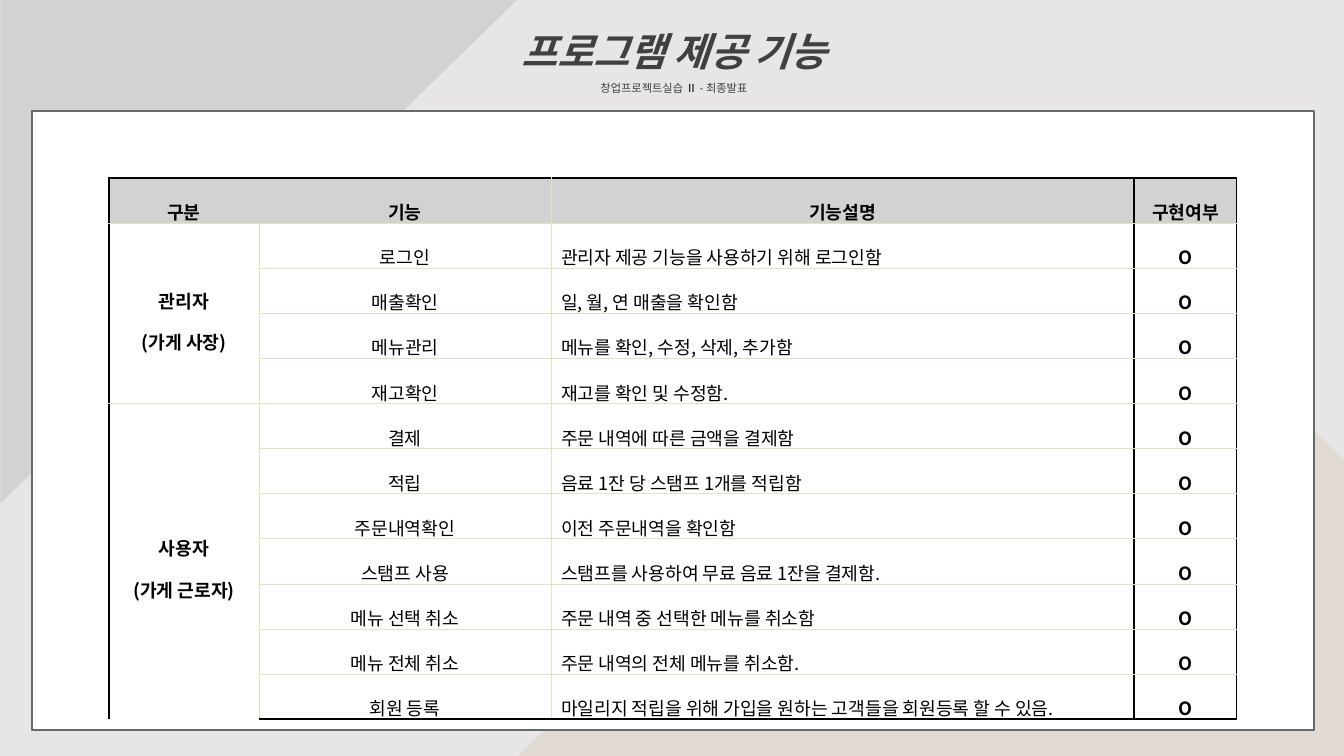
from lxml.etree import SubElement
from pptx import Presentation
from pptx.dml.color import RGBColor
from pptx.enum.shapes import MSO_SHAPE as SHAPE
from pptx.enum.text import MSO_ANCHOR as ANCHOR, MSO_AUTO_SIZE as AUTO, PP_ALIGN as ALIGN
from pptx.oxml.ns import qn
from pptx.util import Pt

SCALE = 12192000 / 1344
FONT = "Noto Sans CJK KR"
NO_STYLE = "{2D5ABB26-0587-4C30-8999-92F81FD0307C}"
COLORS = {"bg": "E7E5E6", "beige": "E1DAD4", "gray": "D2D2D2", "white": "FFFFFF",
          "frame": "64696D", "title": "404040", "black": "000000", "grid": "D8E8C6"}
COLUMNS = [150, 292, 583, 103]
HEADERS = ["구분", "기능", "기능설명", "구현여부"]
GROUPS = [
    ("관리자\n(가게 사장)", [
        ("로그인", "관리자 제공 기능을 사용하기 위해 로그인함"),
        ("매출확인", "일, 월, 연 매출을 확인함"),
        ("메뉴관리", "메뉴를 확인, 수정, 삭제, 추가함"),
        ("재고확인", "재고를 확인 및 수정함."),
    ]),
    ("사용자\n(가게 근로자)", [
        ("결제", "주문 내역에 따른 금액을 결제함"),
        ("적립", "음료 1잔 당 스탬프 1개를 적립함"),
        ("주문내역확인", "이전 주문내역을 확인함"),
        ("스탬프 사용", "스탬프를 사용하여 무료 음료 1잔을 결제함."),
        ("메뉴 선택 취소", "주문 내역 중 선택한 메뉴를 취소함"),
        ("메뉴 전체 취소", "주문 내역의 전체 메뉴를 취소함."),
        ("회원 등록", "마일리지 적립을 위해 가입을 원하는 고객들을 회원등록 할 수 있음."),
    ]),
]


def px(n):
    return round(n * SCALE)


def rgb(name):
    return RGBColor.from_string(COLORS[name])


def style_run(r, size, color, bold=False, italic=False):
    f = r.font
    f.name, f.size, f.bold, f.italic = FONT, Pt(size), bold, italic
    f.color.rgb = rgb(color)
    SubElement(r._r.rPr, qn("a:ea"), typeface=FONT)


def paint(s, fill, line=None):
    s.shadow.inherit = False
    s.fill.solid()
    s.fill.fore_color.rgb = rgb(fill)
    if line:
        s.line.color.rgb = rgb(line)
        s.line.width = Pt(1)
    else:
        s.line.fill.background()


def add_backdrop(slide, w, h):
    """Background, two corner shapes and the white panel."""
    slide.background.fill.solid()
    slide.background.fill.fore_color.rgb = rgb("bg")
    fb = slide.shapes.build_freeform(w - 292, h - 500, scale=SCALE)
    fb.add_line_segments([(w - 205, h - 500), (w, h - 295), (w, h), (517, h)])
    paint(fb.convert_to_shape(), "beige")
    corner = slide.shapes.add_shape(SHAPE.RIGHT_TRIANGLE, px(7), px(-7), px(504), px(517))
    corner.rotation = 90
    paint(corner, "gray")
    panel = slide.shapes.add_shape(SHAPE.RECTANGLE, px(32), px(111), px(w - 62), px(h - 137))
    paint(panel, "white", "frame")


def add_title(slide, x, y, w, h):
    tf = slide.shapes.add_textbox(px(x), px(y), px(w), px(h)).text_frame
    tf.word_wrap = True
    tf.auto_size = AUTO.SHAPE_TO_FIT_TEXT
    lines = [[("프로그램 제공 기능", 28, "title", True, True)],
             [("창업프로젝트실습", 8, "title"), (" Ⅱ", 8, "black"), (" - 최종발표", 8, "title")]]
    for i, runs in enumerate(lines):
        p = tf.add_paragraph() if i else tf.paragraphs[0]
        p.alignment, p.line_spacing = ALIGN.CENTER, 1.5
        for text, *look in runs:
            r = p.add_run()
            r.text = text
            style_run(r, *look)


def set_borders(cell, edges):
    """Edges maps L, R, T, B to a colour name, or to None for no line."""
    tcPr = cell._tc.get_or_add_tcPr()
    for side in "LRTB":
        color = edges.get(side)
        width = Pt(1) if color == "black" else Pt(0.28)
        ln = SubElement(tcPr, qn("a:ln" + side), w=str(int(width)))
        if color:
            fill = SubElement(ln, qn("a:solidFill"))
            SubElement(fill, qn("a:srgbClr"), val=COLORS[color])
        else:
            SubElement(ln, qn("a:noFill"))


def fill_cell(cell, text, fill, bold, align):
    cell.fill.solid()
    cell.fill.fore_color.rgb = rgb(fill)
    cell.vertical_anchor = ANCHOR.MIDDLE
    cell.text_frame.text = text
    for p in cell.text_frame.paragraphs:
        p.alignment, p.line_spacing = align, 1.6
        for r in p.runs:
            style_run(r, 13, "black", bold)


def add_feature_table(slide, x, y, row_h):
    rows = [HEADERS]
    starts = {0}
    for group, features in GROUPS:
        starts.add(len(rows))
        for i, (name, detail) in enumerate(features):
            rows.append(["" if i else group, name, detail, "O"])
    last = len(rows) - 1
    frame = slide.shapes.add_table(len(rows), len(COLUMNS), px(x), px(y),
                                   px(sum(COLUMNS)), px(row_h * len(rows)))
    table = frame.table
    table.horz_banding = False
    table._tbl.tblPr.find(qn("a:tableStyleId")).text = NO_STYLE
    for col, w in zip(table.columns, COLUMNS):
        col.width = px(w)
    for i, row in enumerate(rows):
        for j, text in enumerate(row):
            cell = table.cell(i, j)
            edges = {"L": "black" if j in (0, 3) else "grid",
                     "R": "black" if j in (2, 3) else "grid",
                     "T": "grid" if i else "black",
                     "B": "grid" if i < last else "black"}
            if i == 0 and j < 2:
                edges["L" if j else "R"] = None
            if j == 0:
                if i not in starts:
                    edges["T"] = None
                if i != last and i + 1 not in starts:
                    edges["B"] = None
            set_borders(cell, edges)
            fill_cell(cell, text, "white" if i else "gray", i == 0 or j in (0, 3),
                      ALIGN.JUSTIFY if i and j == 2 else ALIGN.CENTER)
    top = 1
    for _, features in GROUPS:
        bottom = top + len(features) - 1
        table.cell(top, 0).merge(table.cell(bottom, 0))
        top = bottom + 1


def main():
    prs = Presentation()
    prs.slide_width, prs.slide_height = px(1344), px(756)
    slide = prs.slides.add_slide(prs.slide_layouts[6])
    add_backdrop(slide, 1344, 756)
    add_title(slide, 338, -1, 672, 100)
    add_feature_table(slide, 109, 178, 45)
    prs.save("out.pptx")


if __name__ == "__main__":
    main()
